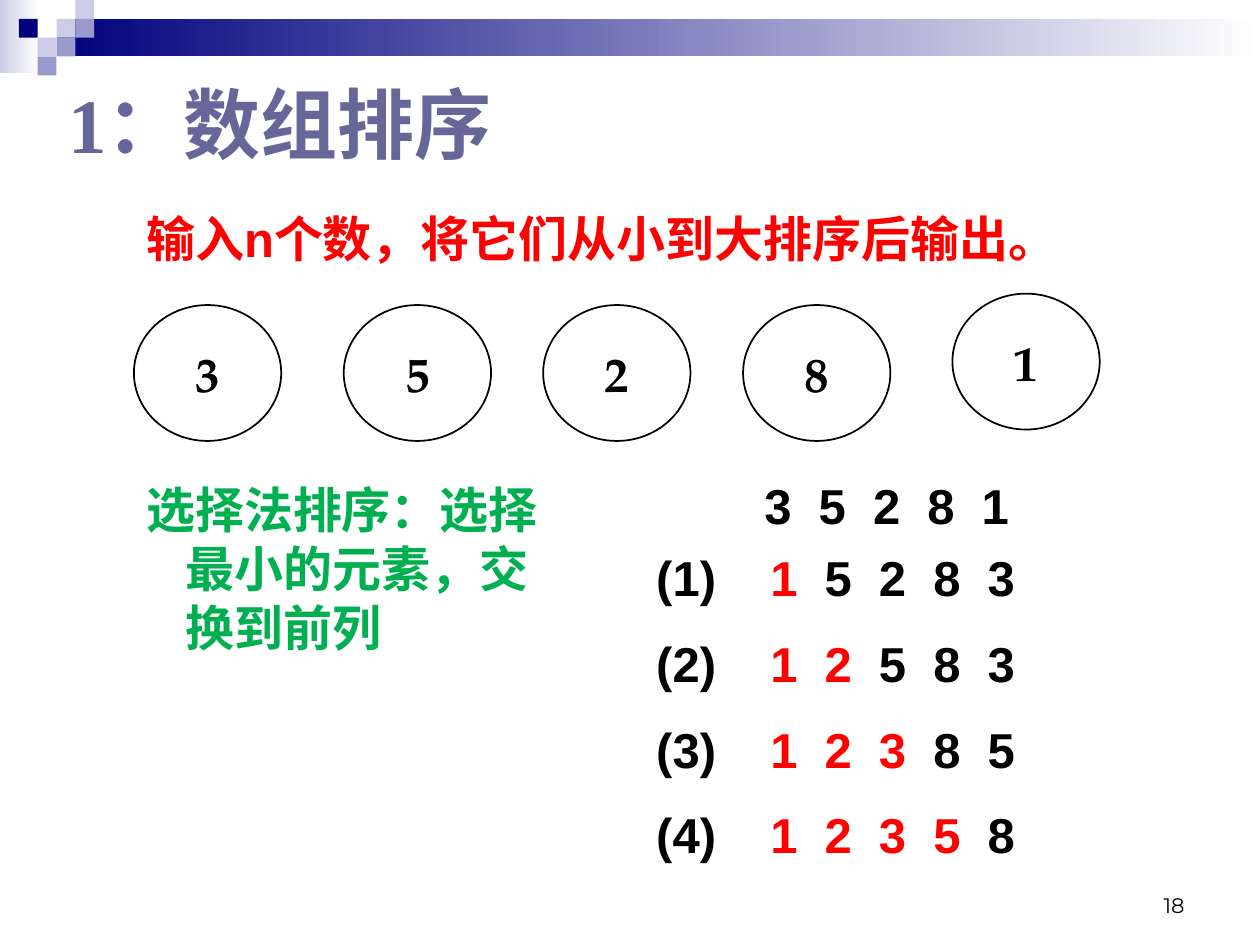
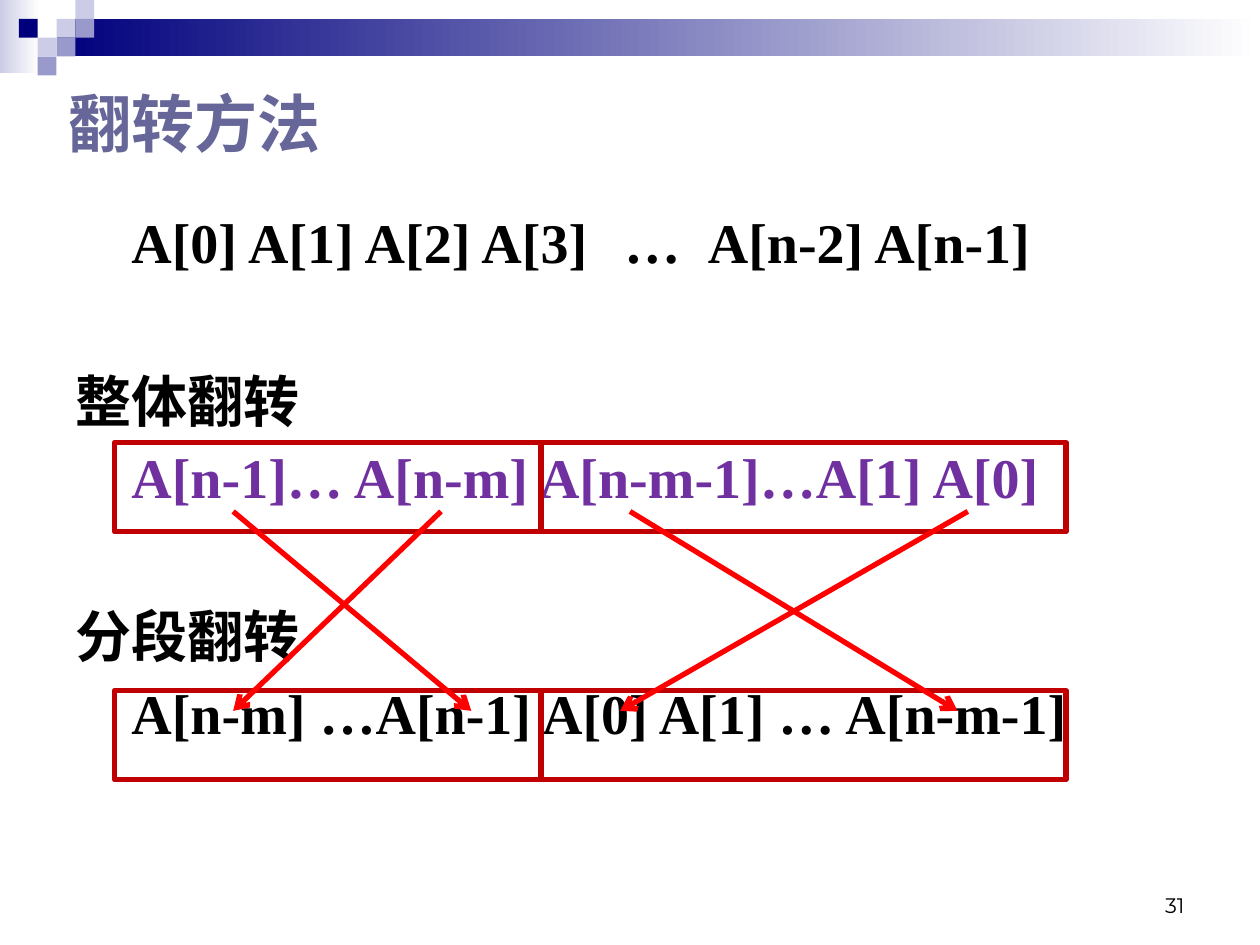
"""Build two slides on sorting and reversing arrays."""
import pptx
import pptx.dml.color
import pptx.enum.shapes
import pptx.enum.text
import pptx.oxml
import pptx.oxml.ns
import pptx.util

Cm, Pt = pptx.util.Cm, pptx.util.Pt
rgb = pptx.dml.color.RGBColor.from_string
SHAPE = pptx.enum.shapes.MSO_SHAPE
ALIGN = pptx.enum.text.PP_ALIGN
ANCHOR = pptx.enum.text.MSO_ANCHOR
NAVY, LILAC, PALE, WHITE = "00007D", "9999CC", "CCCCE6", "FFFFFF"
TITLE, BLACK, RED, GREEN = "666699", "000000", "FF0000", "00B050"
PURPLE, DARK_RED = "7030A0", "C00000"
SERIF, SANS = "Times New Roman", "Arial"


def add_box(s, kind, left, top, width, height, fill=None, line=None, line_width=1):
    sp = s.shapes.add_shape(kind, Cm(left), Cm(top), Cm(width), Cm(height))
    sp.shadow.inherit = False
    if fill is None:
        sp.fill.background()
    elif isinstance(fill, tuple):
        sp.fill.gradient()
        sp.fill.gradient_angle = 0
        for stop, color in zip(sp.fill.gradient_stops, fill):
            stop.color.rgb = rgb(color)
    else:
        sp.fill.solid()
        sp.fill.fore_color.rgb = rgb(fill)
    if line:
        sp.line.color.rgb = rgb(line)
        sp.line.width = Pt(line_width)
    else:
        sp.line.fill.background()
    return sp


def style(p, size, font, color, bold=True, before=0, spacing=None, tabs=()):
    p.space_before = Pt(before)
    if spacing:
        p.line_spacing = Pt(spacing)
    if tabs:
        pPr = p._p.get_or_add_pPr()
        tab_list = pptx.oxml.parse_xml(f"<a:tabLst {pptx.oxml.ns.nsdecls('a')}/>")
        for pos in tabs:
            tab = tab_list.makeelement(pptx.oxml.ns.qn("a:tab"), {"pos": str(Cm(pos)), "algn": "l"})
            tab_list.append(tab)
        pPr.append(tab_list)
    for r in p.runs:
        r.font.size = Pt(size)
        r.font.name = font
        r.font.bold = bold
        r.font.color.rgb = rgb(color)


prs = pptx.Presentation()
prs.slide_width, prs.slide_height = Cm(25.4), Cm(19.05)

unit = 0.38
squares = [(3, 1, PALE), (4, 0, PALE), (4, 1, LILAC), (2, 2, PALE),
           (1, 1, NAVY), (3, 2, LILAC), (2, 3, LILAC)]
slides = []
for title, size, number in [("1：数组排序", 44, "18"), ("翻转方法", 36, "31")]:
    s = prs.slides.add_slide(prs.slide_layouts[5])
    slides.append(s)
    add_box(s, SHAPE.RECTANGLE, 0, 0, 0.79, 1.47, (PALE, WHITE))
    add_box(s, SHAPE.RECTANGLE, 3 * unit, unit, 25.4 - 3 * unit, 2 * unit, (NAVY, WHITE))
    for col, row, color in squares:
        add_box(s, SHAPE.RECTANGLE, col * unit, row * unit, unit, unit, color)

    sp = s.shapes.title
    sp.left, sp.top, sp.width, sp.height = Cm(1.12), Cm(1.52), Cm(21.39), Cm(1.9)
    tf = sp.text_frame
    tf.text = title
    tf.vertical_anchor = ANCHOR.MIDDLE
    tf.auto_size = pptx.enum.text.MSO_AUTO_SIZE.NONE
    p = tf.paragraphs[0]
    p.alignment = ALIGN.LEFT
    style(p, size, SERIF, TITLE)

    tf = s.shapes.add_textbox(Cm(18.21), Cm(17.35), Cm(5.92), Cm(1.27)).text_frame
    tf.word_wrap = True
    tf.vertical_anchor = ANCHOR.BOTTOM
    tf.text = number
    p = tf.paragraphs[0]
    p.alignment = ALIGN.RIGHT
    style(p, 12, "Montserrat", BLACK, bold=False)

sorting, reversing = slides

circles = [("3", 2.7, 6.15), ("5", 6.93, 6.15), ("2", 10.95, 6.15),
           ("8", 14.98, 6.15), ("1", 19.2, 5.92)]
for digit, left, top in circles:
    sp = add_box(sorting, SHAPE.OVAL, left, top, 2.97, 2.74, line=BLACK)
    tf = sp.text_frame
    tf.word_wrap = False
    tf.vertical_anchor = ANCHOR.MIDDLE
    tf.text = digit
    p = tf.paragraphs[0]
    p.alignment = ALIGN.CENTER
    style(p, 28, "TeX Gyre Pagella", BLACK)

notes = [("输入n个数，将它们从小到大排序后输出。", 4.11, 19.61, 2.08, RED, 0, 33),
         ("选择法排序：选择最小的元素，交换到前列", 9.53, 8.61, 5.72, GREEN, 2.8, 33.7)]
for text, top, width, height, color, before, spacing in notes:
    tf = sorting.shapes.add_textbox(Cm(2.7), Cm(top), Cm(width), Cm(height)).text_frame
    tf.word_wrap = True
    tf.text = text
    p = tf.paragraphs[0]
    style(p, 28, SANS, color, before=before, spacing=spacing)
    pPr = p._p.get_or_add_pPr()
    pPr.set("marL", str(Cm(0.79)))
    pPr.set("indent", str(-Cm(0.79)))

tf = sorting.shapes.add_textbox(Cm(12.98), Cm(9.47), Cm(9.91), Cm(8.61)).text_frame
tf.word_wrap = True
steps = ["35281", "15283", "12583", "12385", "12358"]
for step, digits in enumerate(steps):
    p = tf.add_paragraph() if step else tf.paragraphs[0]
    label = f"({step})" if step else ""
    done = "".join("\t" + d for d in digits[:step])
    rest = "".join("\t" + d for d in digits[step:])
    for text in (label, done, rest):
        if text:
            p.add_run().text = text
    first_tab = 2.3 if step else 2.18
    style(p, 28, SANS, BLACK, before=(2.8, 7.3, 15.4, 15.4, 15.4)[step],
          tabs=[first_tab + 1.095 * i for i in range(5)])
    if step:
        p.runs[1].font.color.rgb = rgb(RED)

tf = reversing.shapes.add_textbox(Cm(1.27), Cm(4.11), Cm(22.86), Cm(12.17)).text_frame
tf.word_wrap = True
lines = [("\tA[0] A[1] A[2] A[3]\t…\tA[n-2] A[n-1]", BLACK, 5),
         ("整体翻转", BLACK, 54),
         ("\tA[n-1]… A[n-m] A[n-m-1]…A[1] A[0]", PURPLE, 7),
         ("分段翻转", BLACK, 54),
         ("\tA[n-m] …A[n-1] A[0] A[1] … A[n-m-1]", BLACK, 7)]
for i, (text, color, before) in enumerate(lines):
    p = tf.add_paragraph() if i else tf.paragraphs[0]
    p.text = text
    style(p, 32, SERIF, color, before=before, spacing=36.8, tabs=(1.13, 11.07, 12.75))

for top in (8.92, 13.92):
    for left, width in [(2.31, 8.6), (10.91, 10.58)]:
        add_box(reversing, SHAPE.RECTANGLE, left, top, width, 1.8, line=DARK_RED, line_width=3)

for start, end in [(4.7, 9.5), (12.7, 19.3), (19.51, 12.5), (8.89, 4.7)]:
    line = reversing.shapes.add_connector(
        pptx.enum.shapes.MSO_CONNECTOR.STRAIGHT, Cm(start), Cm(10.31), Cm(end), Cm(14.33))
    line.line.color.rgb = rgb(RED)
    line.line.width = Pt(3)
    ln = line.line._get_or_add_ln()
    ln.append(ln.makeelement(pptx.oxml.ns.qn("a:tailEnd"), {"type": "arrow"}))
    spPr = line._element.spPr
    spPr.append(spPr.makeelement(pptx.oxml.ns.qn("a:effectLst"), {}))

prs.save("out.pptx")
